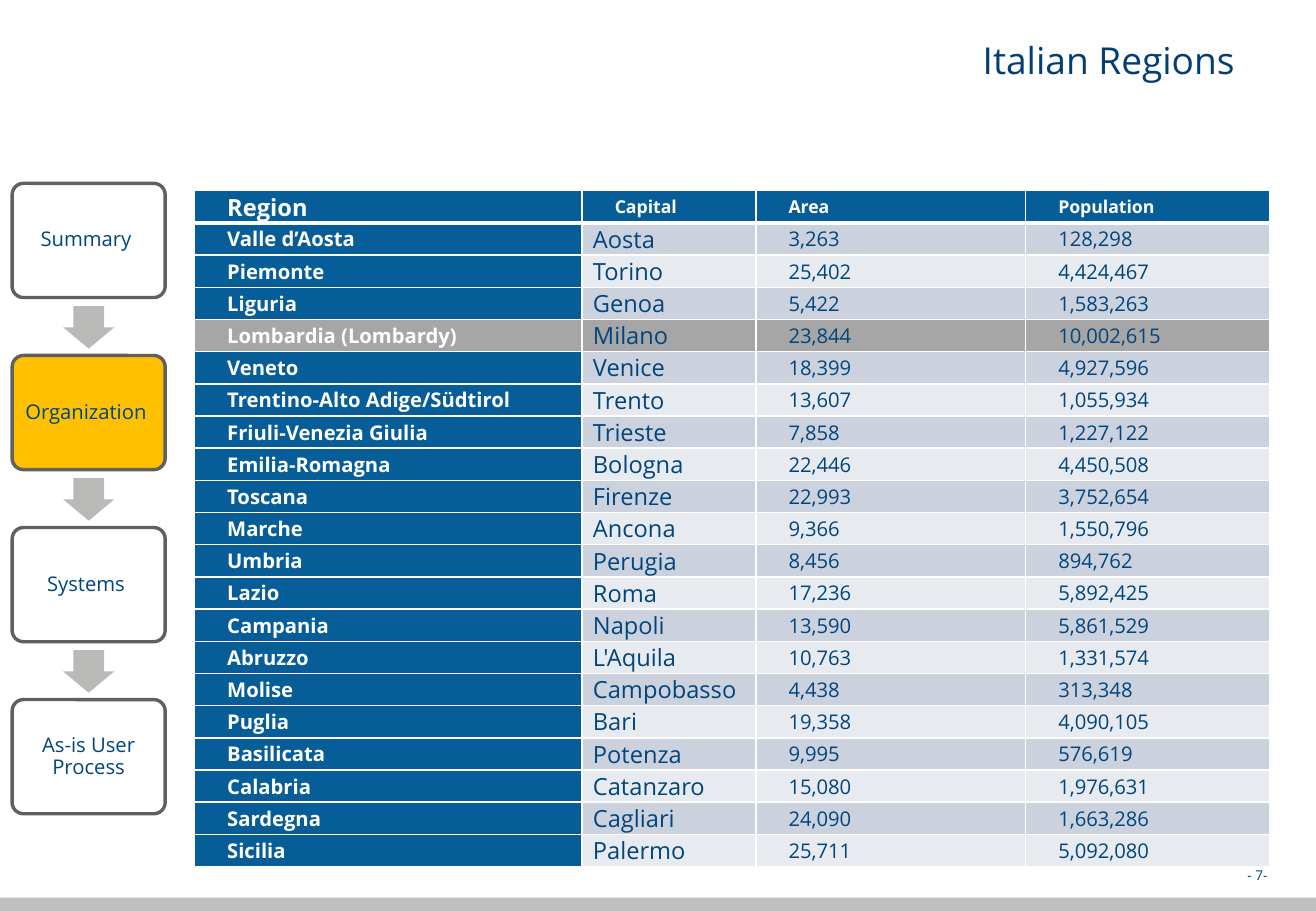
from lxml.etree import SubElement
from pptx import Presentation
from pptx.dml.color import RGBColor
from pptx.enum.shapes import MSO_SHAPE as Shape
from pptx.enum.text import MSO_ANCHOR as Anchor, PP_ALIGN as Align
from pptx.oxml.ns import qn
from pptx.util import Inches, Pt

FONT = "Open Sans"
WHITE = RGBColor(0xFF, 0xFF, 0xFF)
NAVY = RGBColor(0x00, 0x3E, 0x74)
TEXT_BLUE = RGBColor(0x00, 0x45, 0x7E)
TABLE_BLUE = RGBColor(0x06, 0x5D, 0x98)
BAND_DARK = RGBColor(0xCC, 0xD2, 0xDD)
BAND_LIGHT = RGBColor(0xE7, 0xEA, 0xEF)
HIGHLIGHT = RGBColor(0xA6, 0xA6, 0xA6)
FOOTER_GRAY = RGBColor(0xBF, 0xBF, 0xBF)
ARROW_GRAY = RGBColor(0xB9, 0xBA, 0xB8)
OUTLINE_GRAY = RGBColor(0x60, 0x61, 0x5D)
ACTIVE_YELLOW = RGBColor(0xFF, 0xC0, 0x00)

STEPS = ["Summary ", "Organization ", "Systems ", "As-is User Process"]
ACTIVE_STEP = "Organization "
STEP_TOP, STEP_PITCH = 1.51, 4.25 / 3

COLUMN_WIDTHS = [3.19, 1.43, 2.22, 2.01]
HIGHLIGHTED_REGION = "Lombardia (Lombardy)"
REGIONS = [
    ("Region", "Capital", "Area", "Population"),
    ("Valle d’Aosta", "Aosta", "3,263", "128,298"),
    ("Piemonte", "Torino", "25,402", "4,424,467"),
    ("Liguria", "Genoa", "5,422", "1,583,263"),
    ("Lombardia (Lombardy)", "Milano", "23,844", "10,002,615"),
    ("Veneto", "Venice", "18,399", "4,927,596"),
    ("Trentino-Alto Adige/Südtirol", "Trento", "13,607", "1,055,934"),
    ("Friuli-Venezia Giulia", "Trieste", "7,858", "1,227,122"),
    ("Emilia-Romagna", "Bologna", "22,446", "4,450,508"),
    ("Toscana", "Firenze ", "22,993", "3,752,654"),
    ("Marche", "Ancona", "9,366", "1,550,796"),
    ("Umbria", "Perugia", "8,456", "894,762"),
    ("Lazio", "Roma", "17,236", "5,892,425"),
    ("Campania", "Napoli", "13,590", "5,861,529"),
    ("Abruzzo", "L'Aquila", "10,763", "1,331,574"),
    ("Molise", "Campobasso", "4,438", "313,348"),
    ("Puglia", "Bari", "19,358", "4,090,105"),
    ("Basilicata", "Potenza", "9,995", "576,619"),
    ("Calabria", "Catanzaro", "15,080", "1,976,631"),
    ("Sardegna ", "Cagliari", "24,090", "1,663,286"),
    ("Sicilia", "Palermo", "25,711", "5,092,080"),
]


class SlideBuilder:
    def __init__(self, slide, font_name):
        self.slide = slide
        self.font_name = font_name

    def fill_frame(self, frame, text, size, color, align, bold=False, margins=(0, 0, 0, 0)):
        (frame.margin_left, frame.margin_top,
         frame.margin_right, frame.margin_bottom) = map(Inches, margins)
        frame.word_wrap = True
        frame.text = text
        paragraph = frame.paragraphs[0]
        paragraph.alignment = align
        font = paragraph.font
        font.name, font.size, font.bold = self.font_name, Pt(size), bold
        font.color.rgb = color
        return paragraph

    def title(self, text, *box):
        title = self.slide.shapes.title
        title.left, title.top, title.width, title.height = map(Inches, box)
        title.text_frame.vertical_anchor = Anchor.TOP
        paragraph = self.fill_frame(title.text_frame, text, 22, NAVY, Align.RIGHT,
                                    margins=(0.1, 0.04, 0.1, 0.04))
        paragraph.line_spacing = 1.05

    def text(self, text, size, color, align, *box):
        text_box = self.slide.shapes.add_textbox(*map(Inches, box))
        self.fill_frame(text_box.text_frame, text, size, color, align)

    def shape(self, kind, fill, *box, outline=None, adjustments=()):
        shape = self.slide.shapes.add_shape(kind, *map(Inches, box))
        shape.shadow.inherit = False
        shape.fill.solid()
        shape.fill.fore_color.rgb = fill
        if outline is None:
            shape.line.fill.background()
        else:
            shape.line.color.rgb = outline
            shape.line.width = Pt(2)
        for index, value in enumerate(adjustments):
            shape.adjustments[index] = value
        return shape

    def step(self, text, fill, top):
        box = self.shape(Shape.ROUNDED_RECTANGLE, fill, 0.1, top, 1.26, 0.94,
                         outline=OUTLINE_GRAY, adjustments=[0.1])
        box.text_frame.vertical_anchor = Anchor.MIDDLE
        paragraph = self.fill_frame(box.text_frame, text, 12, TEXT_BLUE, Align.CENTER,
                                    margins=(0.08,) * 4)
        paragraph.line_spacing = 0.9

    def cell_borders(self, cell, top, bottom):
        properties = cell._tc.get_or_add_tcPr()
        for side, width in (("L", 1), ("R", 1), ("T", top), ("B", bottom)):
            line = SubElement(properties, qn(f"a:ln{side}"), w=str(Pt(width)))
            fill = SubElement(line, qn("a:solidFill"))
            SubElement(fill, qn("a:srgbClr"), val=str(WHITE))

    def region_cell(self, cell, text, row, column, highlighted):
        header, region = row == 0, column == 0
        capital = column == 1 and not header
        self.cell_borders(cell, top=3 if row == 1 else 1, bottom=3 if header else 1)
        cell.fill.solid()
        if highlighted:
            cell.fill.fore_color.rgb = HIGHLIGHT
        elif header or region:
            cell.fill.fore_color.rgb = TABLE_BLUE
        else:
            cell.fill.fore_color.rgb = BAND_DARK if row % 2 else BAND_LIGHT
        if header:
            size = 14 if region else 10.5
        else:
            size = 14 if capital else 12
        strong = header or region
        paragraph = self.fill_frame(cell.text_frame, text, size,
                                    WHITE if strong else TEXT_BLUE,
                                    Align.JUSTIFY, bold=strong)
        indent = Inches(0.02 if capital else 0.2)
        paragraph._p.get_or_add_pPr().set("marL", str(indent))
        cell.vertical_anchor = Anchor.MIDDLE
        cell.margin_left = cell.margin_right = Inches(0.07)
        cell.margin_top = cell.margin_bottom = 0

    def region_table(self, rows, widths, *box):
        table = self.slide.shapes.add_table(len(rows), len(widths), *map(Inches, box)).table
        table.horz_banding = False
        for column, width in zip(table.columns, widths):
            column.width = Inches(width)
        for row, values in enumerate(rows):
            for column, text in enumerate(values):
                self.region_cell(table.cell(row, column), text, row, column,
                                 values[0] == HIGHLIGHTED_REGION)


def main():
    presentation = Presentation()
    presentation.slide_width, presentation.slide_height = Inches(10.83), Inches(7.5)
    slide = presentation.slides.add_slide(presentation.slide_layouts[5])
    builder = SlideBuilder(slide, FONT)

    builder.text("- 7-", 8, NAVY, Align.RIGHT, 8.88, 7.14, 1.55, 0.16)
    builder.shape(Shape.RECTANGLE, FOOTER_GRAY, 0, 7.39, 10.83, 0.11)
    builder.title("Italian Regions ", 1.6, 0.25, 8.74, 1.06)
    builder.region_table(REGIONS, COLUMN_WIDTHS, 1.6, 1.57, sum(COLUMN_WIDTHS), 5.57)

    for index, step in enumerate(STEPS):
        top = STEP_TOP + index * STEP_PITCH
        builder.step(step, ACTIVE_YELLOW if step == ACTIVE_STEP else WHITE, top)
        if index < len(STEPS) - 1:
            builder.shape(Shape.DOWN_ARROW, ARROW_GRAY, 0.52, top + 1.01, 0.42, 0.35,
                          adjustments=[0.6, 0.5])

    presentation.save("out.pptx")


if __name__ == "__main__":
    main()
